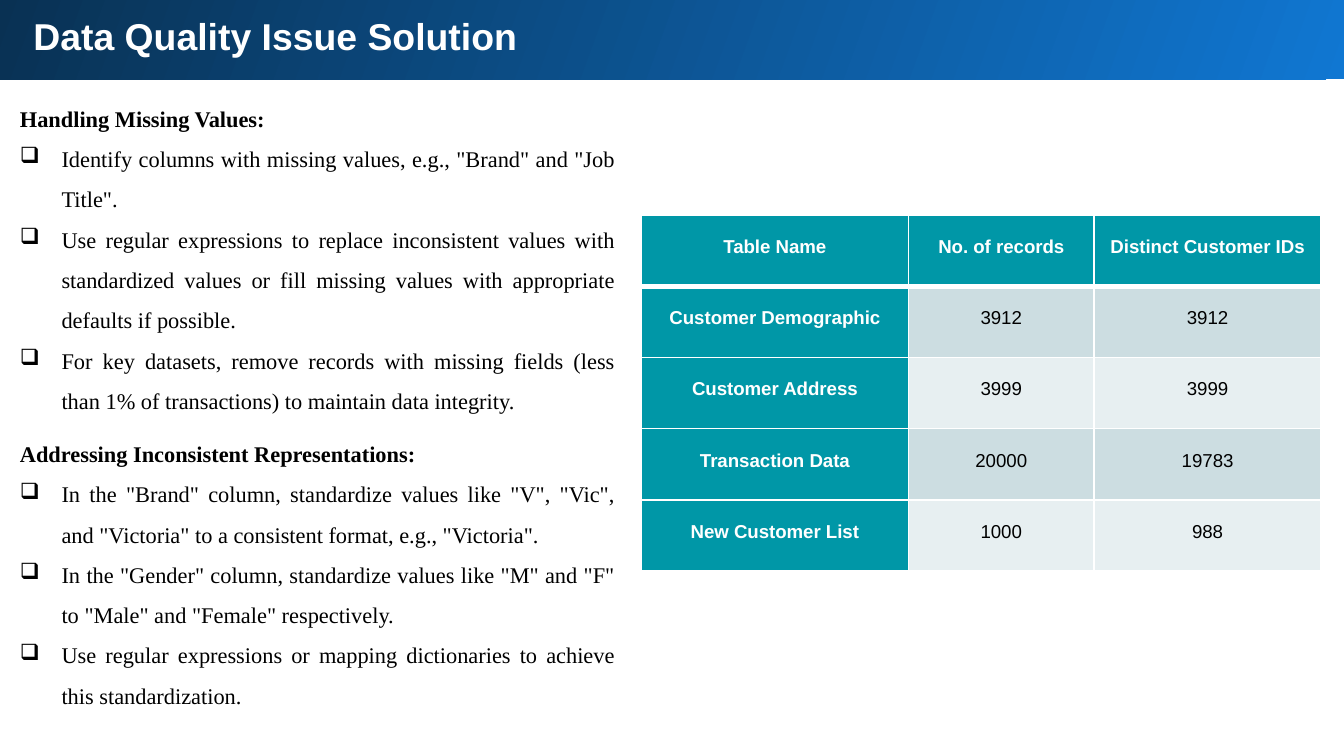
from lxml import etree
from pptx import Presentation
from pptx.dml.color import RGBColor
from pptx.enum.shapes import MSO_SHAPE
from pptx.enum.text import PP_ALIGN
from pptx.oxml.ns import qn
from pptx.util import Inches, Pt

RECTANGLE = MSO_SHAPE.RECTANGLE
CENTER, JUSTIFY = PP_ALIGN.CENTER, PP_ALIGN.JUSTIFY

THEME = {
    "white": "FFFFFF", "black": "000000", "teal": "0097A7",
    "bands": ("CCDDE1", "E7EFF1"),
    "banner": ("1077D2", "093153"),
    "title_size": 20, "body_size": 12, "table_size": 10,
    "sans": "Arial", "serif": "Times New Roman",
}

SECTIONS = [
    ("Handling Missing Values:", [
        'Identify columns with missing values, e.g., "Brand" and "Job Title".',
        "Use regular expressions to replace inconsistent values with standardized "
        "values or fill missing values with appropriate defaults if possible.",
        "For key datasets, remove records with missing fields (less than 1% of "
        "transactions) to maintain data integrity.",
    ]),
    ("Addressing Inconsistent Representations:", [
        'In the "Brand" column, standardize values like "V", "Vic", and "Victoria" '
        'to a consistent format, e.g., "Victoria".',
        'In the "Gender" column, standardize values like "M" and "F" to "Male" and '
        '"Female" respectively.',
        "Use regular expressions or mapping dictionaries to achieve this "
        "standardization.",
    ]),
]

RECORDS = [
    ("Table Name", "No. of records", "Distinct Customer IDs"),
    ("Customer Demographic", "3912", "3912"),
    ("Customer Address", "3999", "3999"),
    ("Transaction Data", "20000", "19783"),
    ("New Customer List", "1000", "988"),
]


def write(para, text, font, size, color, bold=False):
    """Put text in a paragraph and format its run."""
    para.text = text
    span = para.runs[0].font
    span.name, span.size, span.bold = font, Pt(size), bold
    span.color.rgb = RGBColor.from_string(color)


def add_border(cell, side, width):
    """Draw a white line on one side of a table cell."""
    props = cell._tc.get_or_add_tcPr()
    line = etree.SubElement(props, qn(f"a:ln{side}"), w=str(Pt(width)))
    fill = etree.SubElement(line, qn("a:solidFill"))
    etree.SubElement(fill, qn("a:srgbClr"), val=THEME["white"])


deck = Presentation()
deck.slide_width = Inches(10)
deck.slide_height = Inches(10 * 9 / 16)
page = deck.slides.add_slide(deck.slide_layouts[6])

# Banner and title
banner = page.shapes.add_shape(
    RECTANGLE, Inches(-0.02), Inches(-0.05), Inches(10.05), Inches(0.64))
banner.shadow.inherit = False
banner.line.fill.background()
banner.fill.gradient()
banner.fill.gradient_angle = 160
for stop, color in zip(banner.fill.gradient_stops, THEME["banner"]):
    stop.color.rgb = RGBColor.from_string(color)

title = page.shapes.add_textbox(Inches(0.15), 0, Inches(9.37), Inches(0.53))
body = page.shapes.add_textbox(
    Inches(0.05), Inches(0.68), Inches(4.63), Inches(4.86))
for box in (title, body):
    frame = box.text_frame
    frame.word_wrap = True
    frame.margin_left = frame.margin_right = Inches(0.1)
    frame.margin_top = frame.margin_bottom = Inches(0.1)
write(title.text_frame.paragraphs[0], "Data Quality Issue Solution",
      THEME["sans"], THEME["title_size"], THEME["white"], True)

# Headings with bulleted steps
for index, (heading, steps) in enumerate(SECTIONS):
    para = body.text_frame.add_paragraph() if index else body.text_frame.paragraphs[0]
    para.alignment = JUSTIFY
    if index:
        para.space_before = Pt(14)
    write(para, heading, THEME["serif"], THEME["body_size"], THEME["black"], True)
    for step in steps:
        para = body.text_frame.add_paragraph()
        para.alignment = JUSTIFY
        para.line_spacing = 1.5
        write(para, step, THEME["serif"], THEME["body_size"], THEME["black"])
        props = para._p.get_or_add_pPr()
        props.set("marL", str(Inches(0.31)))
        props.set("indent", str(Inches(-0.31)))
        etree.SubElement(props, qn("a:buChar"), char="\u2751")

# Record counts
columns = (1.99, 1.38, 1.69)
row_height = 0.53
table = page.shapes.add_table(
    len(RECORDS), len(columns), Inches(4.77), Inches(1.6),
    Inches(sum(columns)), Inches(row_height * len(RECORDS))).table
for column, width in zip(table.columns, columns):
    column.width = Inches(width)
for row, values in enumerate(RECORDS):
    table.rows[row].height = Inches(row_height)
    for col, value in enumerate(values):
        cell = table.cell(row, col)
        is_label = row == 0 or col == 0
        cell.margin_left = cell.margin_right = Inches(0.07)
        cell.margin_top, cell.margin_bottom = Inches(0.15), 0
        para = cell.text_frame.paragraphs[0]
        para.alignment = CENTER
        para.line_spacing = 1.07
        write(para, value, THEME["sans"], THEME["table_size"],
              THEME["white"] if is_label else THEME["black"], is_label)
        for side in "LRTB":
            header_edge = (row, side) in ((0, "B"), (1, "T"))
            add_border(cell, side, 3 if header_edge else 1)
        cell.fill.solid()
        cell.fill.fore_color.rgb = RGBColor.from_string(
            THEME["teal"] if is_label else THEME["bands"][(row - 1) % 2])

deck.save("out.pptx")
